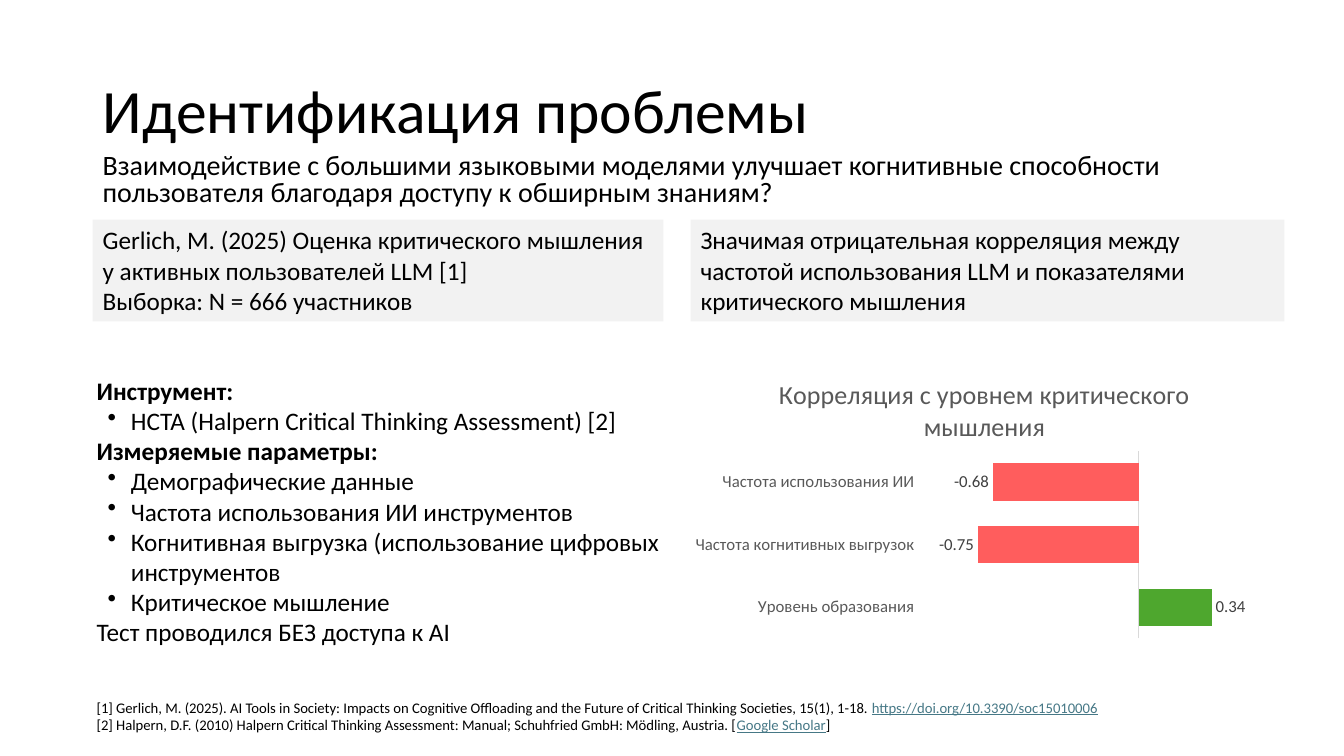
from dataclasses import dataclass

from lxml import etree
from pptx import Presentation
from pptx.chart.data import CategoryChartData
from pptx.dml.color import RGBColor
from pptx.enum.chart import (XL_CHART_TYPE, XL_LABEL_POSITION,
                             XL_TICK_LABEL_POSITION, XL_TICK_MARK)
from pptx.enum.shapes import MSO_SHAPE
from pptx.enum.text import MSO_ANCHOR, PP_ALIGN
from pptx.oxml.ns import qn
from pptx.util import Pt

PX = 9144  # one px is a hundredth of an inch
TITLE_ONLY = 5
BAR = XL_CHART_TYPE.BAR_CLUSTERED
LABEL_OUTSIDE = XL_LABEL_POSITION.OUTSIDE_END
LABELS_LOW = XL_TICK_LABEL_POSITION.LOW
LABELS_NONE = XL_TICK_LABEL_POSITION.NONE
TICK_NONE = XL_TICK_MARK.NONE
RECTANGLE = MSO_SHAPE.RECTANGLE
TOP, MIDDLE = MSO_ANCHOR.TOP, MSO_ANCHOR.MIDDLE
LEFT = PP_ALIGN.LEFT


@dataclass(frozen=True)
class Theme:
    font: str = "Calibri"
    text: str = "000000"
    panel: str = "F2F2F2"
    link: str = "467886"
    muted: str = "595959"
    label: str = "404040"
    axis: str = "D9D9D9"
    positive: str = "4EA72E"
    negative: str = "FF5D5D"
    title_size: float = 44
    lead_size: float = 20
    body_size: float = 18
    chart_title_size: float = 18.6
    chart_size: float = 12
    reference_size: float = 10.5


THEME = Theme()

PANELS = [
    ((92, 218, 566, 101),
     ["Gerlich, M. (2025) Оценка критического мышления у активных пользователей LLM [1]",
      "Выборка: N = 666 участников"]),
    ((685, 218, 589, 101),
     ["Значимая отрицательная корреляция между частотой использования LLM "
      "и показателями критического мышления"]),
]
HEADING, BULLET, PLAIN = "heading", "bullet", "plain"
METHOD = [
    (HEADING, "Инструмент:"),
    (BULLET, "HCTA (Halpern Critical Thinking Assessment) [2]"),
    (HEADING, "Измеряемые параметры:"),
    (BULLET, "Демографические данные"),
    (BULLET, "Частота использования ИИ инструментов"),
    (BULLET, "Когнитивная выгрузка (использование цифровых инструментов"),
    (BULLET, "Критическое мышление"),
    (PLAIN, "Тест проводился БЕЗ доступа к AI"),
]
# Each reference: text before the link, link text, text after it
REFERENCES = [
    ("[1] Gerlich, M. (2025). AI Tools in Society: Impacts on Cognitive Offloading and the "
     "Future of Critical Thinking Societies, 15(1), 1-18. ",
     "https://doi.org/10.3390/soc15010006", ""),
    ("[2] Halpern, D.F. (2010) Halpern Critical Thinking Assessment: Manual; "
     "Schuhfried GmbH: Mödling, Austria. [", "Google Scholar", "]"),
]
CORRELATIONS = {
    "Уровень образования": 0.34,
    "Частота когнитивных выгрузок": -0.75,
    "Частота использования ИИ": -0.68,
}


def scaled(box):
    return [length * PX for length in box]


def style_font(font, size, color=THEME.text, bold=False):
    font.name = THEME.font
    font.size = Pt(size)
    font.bold = bold
    font.color.rgb = RGBColor.from_string(color)


def fill_solid(fill, color):
    fill.solid()
    fill.fore_color.rgb = RGBColor.from_string(color)


def set_paragraphs(text_frame, lines, size):
    text_frame.word_wrap = True
    text_frame.text = "\n".join(lines)
    for paragraph in text_frame.paragraphs:
        paragraph.alignment = LEFT
        for run in paragraph.runs:
            style_font(run.font, size)


def add_bullet(paragraph, margin, hanging):
    properties = paragraph._p.get_or_add_pPr()
    properties.set("marL", str(margin * PX))
    properties.set("indent", str(-hanging * PX))
    etree.SubElement(properties, qn("a:buChar")).set("char", "•")


def add_title(slide, box, text):
    title = slide.shapes.title
    title.left, title.top, title.width, title.height = scaled(box)
    set_paragraphs(title.text_frame, [text], THEME.title_size)
    title.text_frame.vertical_anchor = MIDDLE
    title.text_frame.paragraphs[0].line_spacing = 0.9


def add_lead(slide, box, text):
    text_frame = slide.shapes.add_textbox(*scaled(box)).text_frame
    set_paragraphs(text_frame, [text], THEME.lead_size)
    text_frame.paragraphs[0].line_spacing = 0.8


def add_panel(slide, box, lines):
    panel = slide.shapes.add_shape(RECTANGLE, *scaled(box))
    panel.shadow.inherit = False
    fill_solid(panel.fill, THEME.panel)
    panel.line.fill.background()
    set_paragraphs(panel.text_frame, lines, THEME.body_size)
    panel.text_frame.vertical_anchor = TOP


def add_method(slide, box, items):
    text_frame = slide.shapes.add_textbox(*scaled(box)).text_frame
    set_paragraphs(text_frame, [text for _, text in items], THEME.body_size)
    for paragraph, (kind, _) in zip(text_frame.paragraphs, items):
        paragraph.runs[0].font.bold = kind == HEADING
        if kind == BULLET:
            add_bullet(paragraph, margin=34, hanging=23)


def add_references(slide, box, references):
    text_frame = slide.shapes.add_textbox(*scaled(box)).text_frame
    set_paragraphs(text_frame, [before for before, _, _ in references], THEME.reference_size)
    for paragraph, (_, link, after) in zip(text_frame.paragraphs, references):
        link_run = paragraph.add_run()
        link_run.text = link
        style_font(link_run.font, THEME.reference_size, THEME.link)
        link_run.font.underline = True
        if after:
            after_run = paragraph.add_run()
            after_run.text = after
            style_font(after_run.font, THEME.reference_size)


def set_plot_layout(chart, x, y, w, h):
    plot_area = chart._chartSpace.chart.plotArea
    for old_layout in plot_area.findall(qn("c:layout")):
        plot_area.remove(old_layout)
    layout = etree.Element(qn("c:layout"))
    manual = etree.SubElement(layout, qn("c:manualLayout"))
    settings = [("layoutTarget", "inner"), ("xMode", "edge"), ("yMode", "edge"),
                ("x", x), ("y", y), ("w", w), ("h", h)]
    for name, value in settings:
        etree.SubElement(manual, qn(f"c:{name}")).set("val", str(value))
    plot_area.insert(0, layout)


def add_correlation_chart(slide, box, title, correlations):
    data = CategoryChartData()
    data.categories = list(correlations)
    data.add_series("Series 1", list(correlations.values()))
    chart = slide.shapes.add_chart(BAR, *scaled(box), data).chart
    style_font(chart.font, THEME.chart_size, THEME.muted)
    chart.has_legend = False
    chart.has_title = True
    chart.chart_title.text_frame.text = title
    title_run = chart.chart_title.text_frame.paragraphs[0].runs[0]
    style_font(title_run.font, THEME.chart_title_size, THEME.muted)
    set_plot_layout(chart, x=0.4, y=0.31, w=0.57, h=0.64)

    # Axes
    for axis in (chart.category_axis, chart.value_axis):
        axis.major_tick_mark = axis.minor_tick_mark = TICK_NONE
        axis.has_major_gridlines = False
        style_font(axis.tick_labels.font, THEME.chart_size, THEME.muted)
    chart.category_axis.tick_label_position = LABELS_LOW
    chart.category_axis.format.line.color.rgb = RGBColor.from_string(THEME.axis)
    chart.category_axis.format.line.width = Pt(0.75)
    chart.value_axis.tick_label_position = LABELS_NONE
    chart.value_axis.format.line.fill.background()
    chart.value_axis.minimum_scale, chart.value_axis.maximum_scale = -1, 0.6

    # Bars coloured by sign, with value labels
    plot = chart.plots[0]
    plot.gap_width = 69
    plot.vary_by_categories = False
    series = plot.series[0]
    series.invert_if_negative = False
    for index, value in enumerate(correlations.values()):
        color = THEME.positive if value > 0 else THEME.negative
        fill_solid(series.points[index].format.fill, color)
    labels = series.data_labels
    labels.show_value = True
    labels.position = LABEL_OUTSIDE
    style_font(labels.font, THEME.chart_size, THEME.label)


def build_problem_slide(presentation):
    slide = presentation.slides.add_slide(presentation.slide_layouts[TITLE_ONLY])
    add_title(slide, (92, 40, 1150, 145), "Идентификация проблемы")
    add_lead(slide, (92, 148, 1150, 69),
             "Взаимодействие с большими языковыми моделями улучшает когнитивные способности "
             "пользователя благодаря доступу к обширным знаниям?")
    for box, lines in PANELS:
        add_panel(slide, box, lines)
    add_method(slide, (86, 367, 581, 283), METHOD)
    add_correlation_chart(slide, (678, 357, 597, 291),
                          "Корреляция с уровнем критического мышления", CORRELATIONS)
    add_references(slide, (86, 688, 1142, 62), REFERENCES)


def main():
    presentation = Presentation()
    presentation.slide_width, presentation.slide_height = scaled((1333, 750))
    build_problem_slide(presentation)
    presentation.save("out.pptx")


if __name__ == "__main__":
    main()
